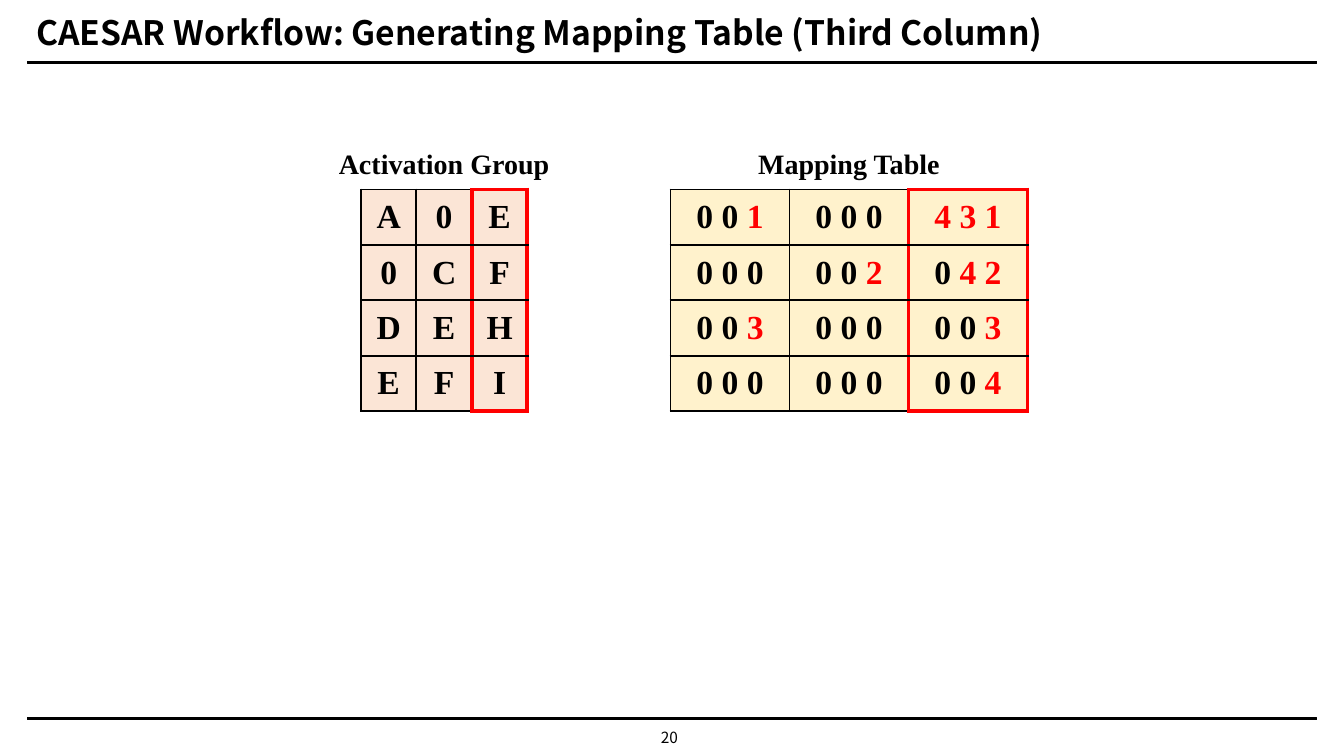
from lxml.etree import SubElement as Sub
from pptx import Presentation
from pptx.dml.color import RGBColor as Rgb
from pptx.enum.shapes import MSO_SHAPE as Shape
from pptx.enum.text import MSO_ANCHOR as Anchor, PP_ALIGN as Align
from pptx.oxml.ns import qn
from pptx.util import Inches, Pt

HUES = {"ink": "000000", "mark": "FF0000", "rose": "FBE5D6", "cream": "FFF2CC"}
SANS, SERIF = "Noto Sans CJK KR", "Times New Roman"
WIDE, HIGH = 13.33, 7.5
TOP, ROW = 1.88, 0.55

TITLE = "CAESAR Workflow: Generating Mapping Table (Third Column)"
PAGE = "20"
RULES = [0.61, 7.12]
GRIDS = [
    dict(name="Activation Group", left=3.58, col=0.55, fill="rose", tint=False,
         rows=["A|0|E", "0|C|F", "D|E|H", "E|F|I"]),
    dict(name="Mapping Table", left=6.65, col=1.18, fill="cream", tint=True,
         rows=["0 0 1|0 0 0|4 3 1", "0 0 0|0 0 2|0 4 2",
               "0 0 3|0 0 0|0 0 3", "0 0 0|0 0 0|0 0 4"]),
]


def hue(key):
    return Rgb.from_string(HUES[key])


def style(para, face, size, bold):
    font = para.font
    font.name, font.size, font.bold = face, Pt(size), bold
    font.color.rgb = hue("ink")


def label(slide, text, box, face, size, bold=True, wrap=True, align=Align.CENTER):
    frame = slide.shapes.add_textbox(*map(Inches, box)).text_frame
    frame.word_wrap = wrap
    para = frame.paragraphs[0]
    para.text, para.alignment = text, align
    style(para, face, size, bold)
    return frame


def edge(cell, side, hot):
    line = Sub(cell._tc.get_or_add_tcPr(), qn("a:ln" + side),
               w=str(Pt(3 if hot else 1.5)))
    fill = Sub(line, qn("a:solidFill"))
    Sub(fill, qn("a:srgbClr"), val=HUES["mark" if hot else "ink"])


def write(cell, text, tint):
    para = cell.text_frame.paragraphs[0]
    para.alignment = Align.CENTER
    style(para, SERIF, 24, True)
    tail = text.lstrip("0 ") if tint else ""
    head = text[:len(text) - len(tail)]
    if head:
        para.add_run().text = head
    if tail:
        run = para.add_run()
        run.text = tail
        run.font.color.rgb = hue("mark")


def grid(slide, name, left, col, fill, tint, rows):
    cells = [row.split("|") for row in rows]
    down, over = len(cells), len(cells[0])
    box = left, TOP, col * over, ROW * down
    table = slide.shapes.add_table(down, over, *map(Inches, box)).table
    table.first_row = table.horz_banding = False
    for r, row in enumerate(cells):
        table.rows[r].height = Inches(ROW)
        for c, text in enumerate(row):
            cell = table.cell(r, c)
            cell.vertical_anchor = Anchor.MIDDLE
            if tint:
                cell.margin_left = cell.margin_right = 0
                cell.margin_top = cell.margin_bottom = 0
            last = c == over - 1
            hot = {"L": last, "R": c >= over - 2,
                   "T": last and r == 0, "B": last and r == down - 1}
            for side, flag in hot.items():
                edge(cell, side, flag)
            cell.fill.solid()
            cell.fill.fore_color.rgb = hue(fill)
            write(cell, text, tint)
    mid = left + col * over / 2
    label(slide, name, (mid - 1.15, 1.4, 2.3, 0.44), SERIF, 20, wrap=False)


def main():
    deck = Presentation()
    deck.slide_width, deck.slide_height = Inches(WIDE), Inches(HIGH)
    slide = deck.slides.add_slide(deck.slide_layouts[6])
    for top in RULES:
        bar = slide.shapes.add_shape(
            Shape.RECTANGLE, *map(Inches, (0.27, top, 12.79, 0.02)))
        bar.shadow.inherit = False
        bar.fill.solid()
        bar.fill.fore_color.rgb = bar.line.color.rgb = hue("ink")
        bar.line.width = Pt(1)
    head = label(slide, TITLE, (0.26, 0.06, 12.78, 0.51), SANS, 24, align=Align.LEFT)
    head.vertical_anchor = Anchor.BOTTOM
    head.paragraphs[0].line_spacing = 0.9
    label(slide, PAGE, (6.41, 7.17, 0.46, 0.28), SANS, 11, bold=False)
    for item in GRIDS:
        grid(slide, **item)
    deck.save("out.pptx")


if __name__ == "__main__":
    main()
